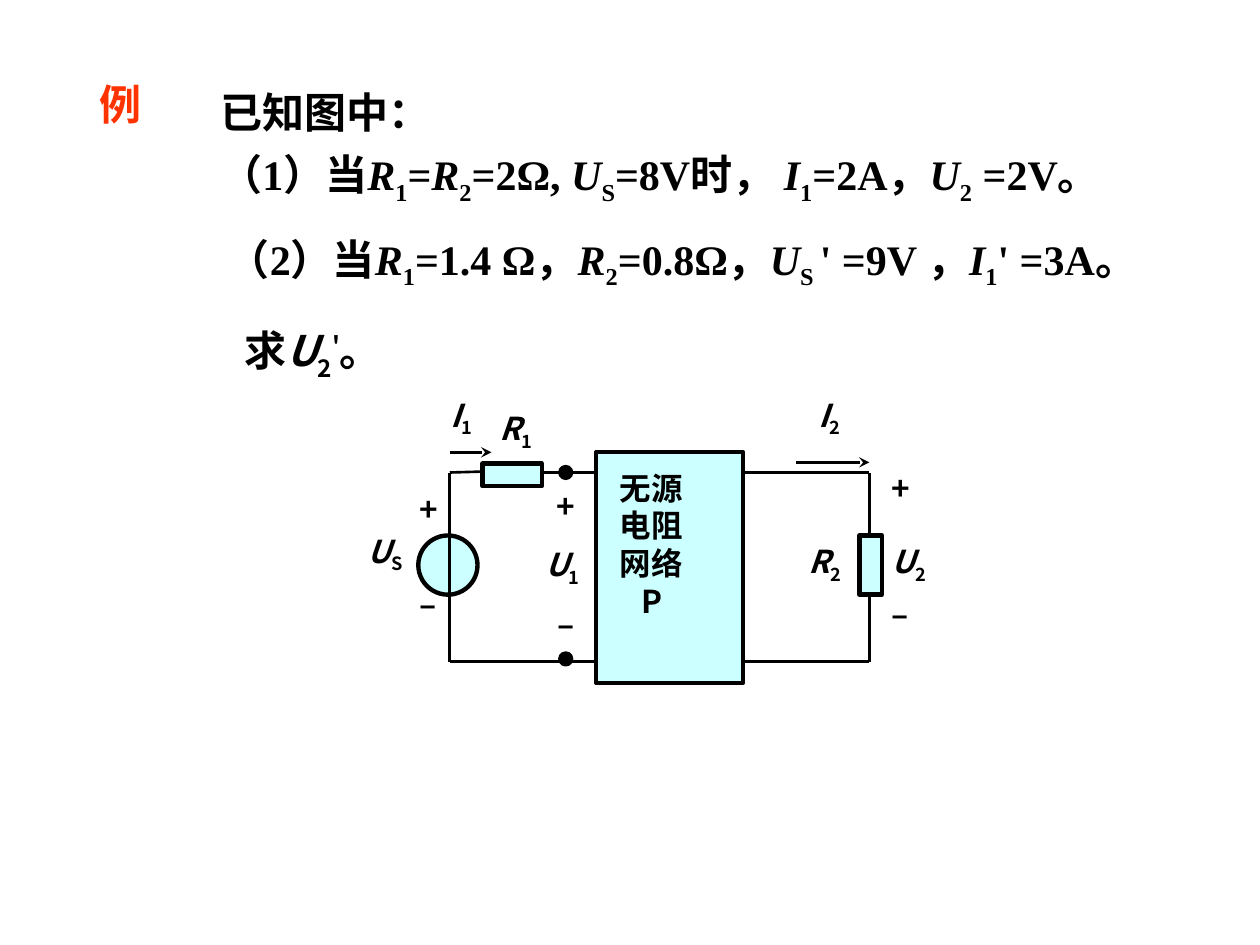
from lxml import etree
from pptx import Presentation
from pptx.dml.color import RGBColor
from pptx.enum.shapes import MSO_CONNECTOR, MSO_SHAPE
from pptx.enum.text import PP_ALIGN
from pptx.oxml.ns import qn
from pptx.util import Inches, Pt

STRAIGHT = MSO_CONNECTOR.STRAIGHT
RECTANGLE = MSO_SHAPE.RECTANGLE
OVAL = MSO_SHAPE.OVAL
JUSTIFY = PP_ALIGN.JUSTIFY

BLACK = RGBColor(0x00, 0x00, 0x00)
RED = RGBColor(0xFF, 0x33, 0x00)
CYAN = RGBColor(0xCC, 0xFF, 0xFF)
SANS = "Noto Sans CJK SC"
SERIF = "Times New Roman"

GIVEN = [
    [("已知图中：", "")],
    [("（1）当", ""), ("R", "i"), ("1", "sub"), ("=", ""), ("R", "i"), ("2", "sub"),
     ("=2Ω, ", ""), ("U", "i"), ("S", "sub"), ("=8V时， ", ""), ("I", "i"), ("1", "sub"),
     ("=2A，", ""), ("U", "i"), ("2", "sub"), (" =2V。", "")],
]
SECOND_CASE = [
    [("（2）当", ""), ("R", "i"), ("1", "sub"), ("=1.4 Ω，", ""), ("R", "i"), ("2", "sub"),
     ("=0.8Ω，", ""), ("U", "i"), ("S ", "sub"), ("' =9V ，", ""), ("I", "i"), ("1", "sub"),
     ("' =3A。", "")],
]
QUESTION = [[("求", ""), ("U", "i"), ("2", "sub"), ("'", "sup"), ("。", "")]]
NETWORK = [[("无源", "")], [("电阻", "")], [("网络", "")], [("P", "")]]

SYMBOLS = [
    ("U", "1", 4.23, 4.28, 0.58), ("U", "S", 2.82, 4.17, 0.58),
    ("R", "1", 3.87, 3.2, 0.67), ("I", "1", 3.48, 3.09, 0.58),
    ("I", "2", 6.4, 3.09, 0.58), ("U", "2", 6.98, 4.25, 0.58),
    ("R", "2", 6.32, 4.25, 0.67),
]
POLARITIES = [
    ("+", 4.32, 3.82), ("–", 4.33, 4.75), ("+", 3.23, 3.84),
    ("–", 3.23, 4.59), ("+", 6.98, 3.67), ("–", 6.98, 4.67),
]
LEFT, RIGHT, TOP, BOTTOM = 3.57, 6.9, 3.75, 5.25
BOX_LEFT, BOX_RIGHT = 4.73, 5.9
WIRES = [
    (BOX_RIGHT, TOP, RIGHT, TOP), (BOX_RIGHT, BOTTOM, RIGHT, BOTTOM),
    (RIGHT, TOP, RIGHT, 4.25), (RIGHT, 4.72, RIGHT, BOTTOM),
    (LEFT, BOTTOM, BOX_LEFT, BOTTOM), (4.32, TOP, BOX_LEFT, TOP),
    (LEFT, TOP, 3.93, 3.74), (LEFT, TOP, LEFT, BOTTOM),
]
CURRENTS = [(LEFT, 3.59, 3.9, 3.59), (6.32, 3.67, RIGHT, 3.67)]
BACK_PARTS = [
    (RECTANGLE, BOX_LEFT, 3.59, 1.17, 1.83, CYAN, 2.25),
    (OVAL, 3.32, 4.25, 0.47, 0.47, CYAN, 2.5),
]
FRONT_PARTS = [
    (RECTANGLE, 6.82, 4.25, 0.18, 0.47, CYAN, 2.5),
    (RECTANGLE, 3.83, 3.68, 0.47, 0.18, CYAN, 2.5),
    (OVAL, 4.44, 3.7, 0.1, 0.1, BLACK, 1.5),
    (OVAL, 4.44, 5.18, 0.1, 0.1, BLACK, 1.5),
]
BASELINES = {"sub": "-25000", "sup": "30000"}


def add_text(slide, paragraphs, left, top, width, height, size=18, font=SANS,
             color=BLACK, align=None, hanging=0, line_spacing=None):
    box = slide.shapes.add_textbox(Inches(left), Inches(top), Inches(width), Inches(height))
    frame = box.text_frame
    frame.word_wrap = True
    for index, runs in enumerate(paragraphs):
        paragraph = frame.paragraphs[0] if index == 0 else frame.add_paragraph()
        paragraph.alignment = align
        paragraph.line_spacing = line_spacing
        if hanging:
            indent_paragraph(paragraph, hanging, -hanging)
        for text, style in runs:
            run = paragraph.add_run()
            run.text = text
            run.font.size = Pt(size)
            run.font.bold = True
            run.font.italic = style == "i"
            run.font.name = font
            run.font.color.rgb = color
            properties = run.font._element
            etree.SubElement(properties, qn("a:ea")).set("typeface", SANS)
            if style in BASELINES:
                properties.set("baseline", BASELINES[style])
    return frame


def indent_paragraph(paragraph, margin, first_line):
    properties = paragraph._p.get_or_add_pPr()
    properties.set("marL", str(Inches(margin)))
    properties.set("indent", str(Inches(first_line)))


def add_part(slide, kind, left, top, width, height, fill, line_width):
    shape = slide.shapes.add_shape(kind, Inches(left), Inches(top), Inches(width), Inches(height))
    shape.shadow.inherit = False
    shape.fill.solid()
    shape.fill.fore_color.rgb = fill
    shape.line.color.rgb = BLACK
    shape.line.width = Pt(line_width)


def add_wire(slide, ends, arrow=False):
    wire = slide.shapes.add_connector(STRAIGHT, *[Inches(value) for value in ends])
    wire.line.color.rgb = BLACK
    wire.line.width = Pt(1.5)
    if arrow:
        etree.SubElement(wire.line._get_or_add_ln(), qn("a:tailEnd")).set("type", "stealth")
    etree.SubElement(wire._element.spPr, qn("a:effectLst"))


def main():
    presentation = Presentation()
    presentation.slide_width = Inches(10)
    presentation.slide_height = Inches(7.5)
    slide = presentation.slides.add_slide(presentation.slide_layouts[6])

    add_text(slide, [[("例", "")]], 0.69, 0.57, 1.33, 0.51, 24, color=RED)
    add_text(slide, GIVEN, 1.65, 0.56, 7.92, 1.06, 24, SERIF,
             align=JUSTIFY, hanging=0.62, line_spacing=1.2)
    add_text(slide, SECOND_CASE, 1.71, 1.71, 8.29, 0.58, 24, SERIF,
             align=JUSTIFY, hanging=0.52, line_spacing=1.2)
    add_text(slide, QUESTION, 1.84, 2.53, 1.3, 0.51, 24)

    for part in BACK_PARTS:
        add_part(slide, *part)
    network = add_text(slide, NETWORK, 4.82, 3.67, 1.17, 1.7, align=JUSTIFY)
    indent_paragraph(network.paragraphs[-1], 0.17, 0)
    for letter, index, left, top, width in SYMBOLS:
        add_text(slide, [[(letter, "i"), (index, "sub")]], left, top, width, 0.5)
    for sign, left, top in POLARITIES:
        add_text(slide, [[(sign, "")]], left, top, 0.42, 0.5)
    for ends in WIRES:
        add_wire(slide, ends)
    for ends in CURRENTS:
        add_wire(slide, ends, arrow=True)
    for part in FRONT_PARTS:
        add_part(slide, *part)

    presentation.save("out.pptx")


if __name__ == "__main__":
    main()
